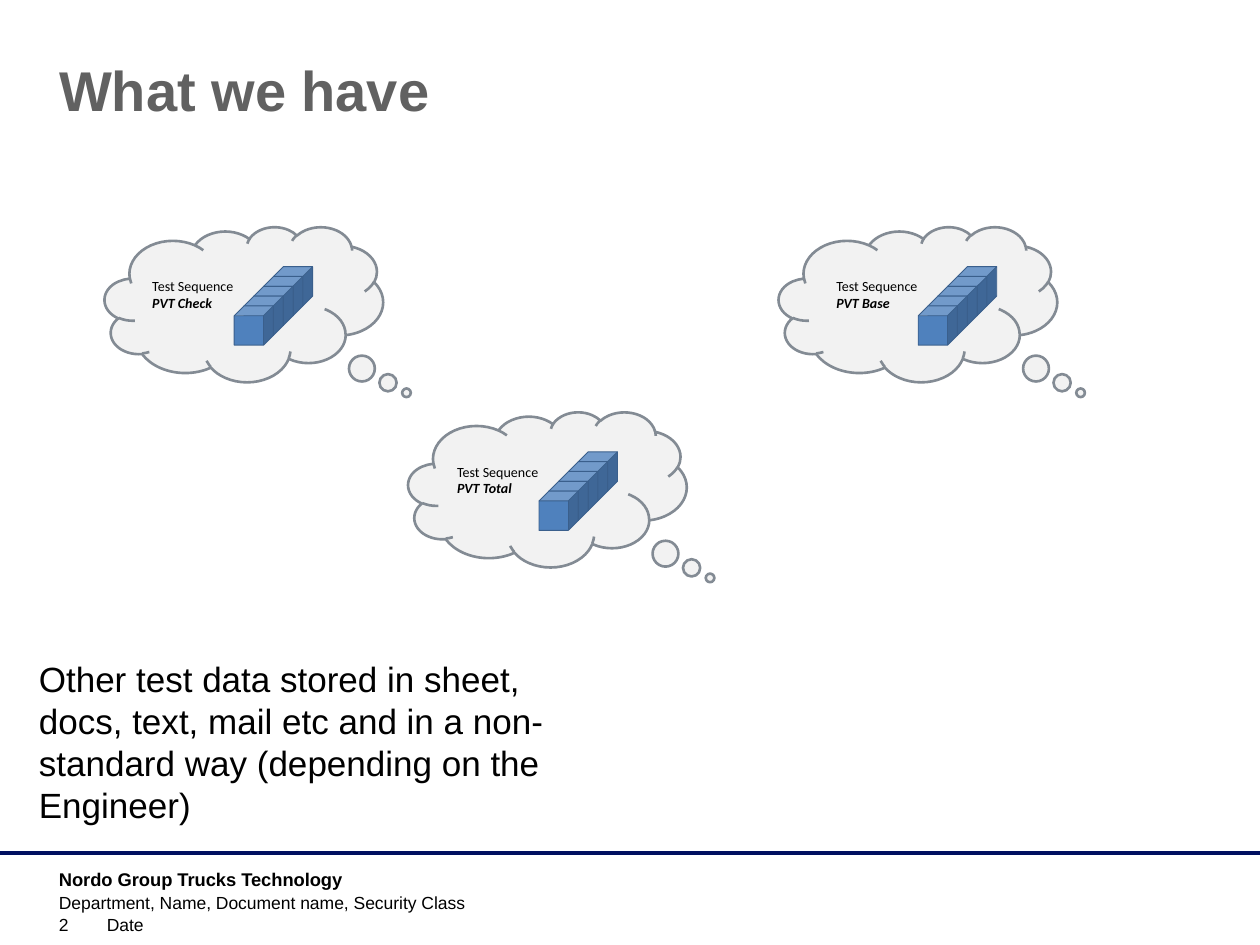
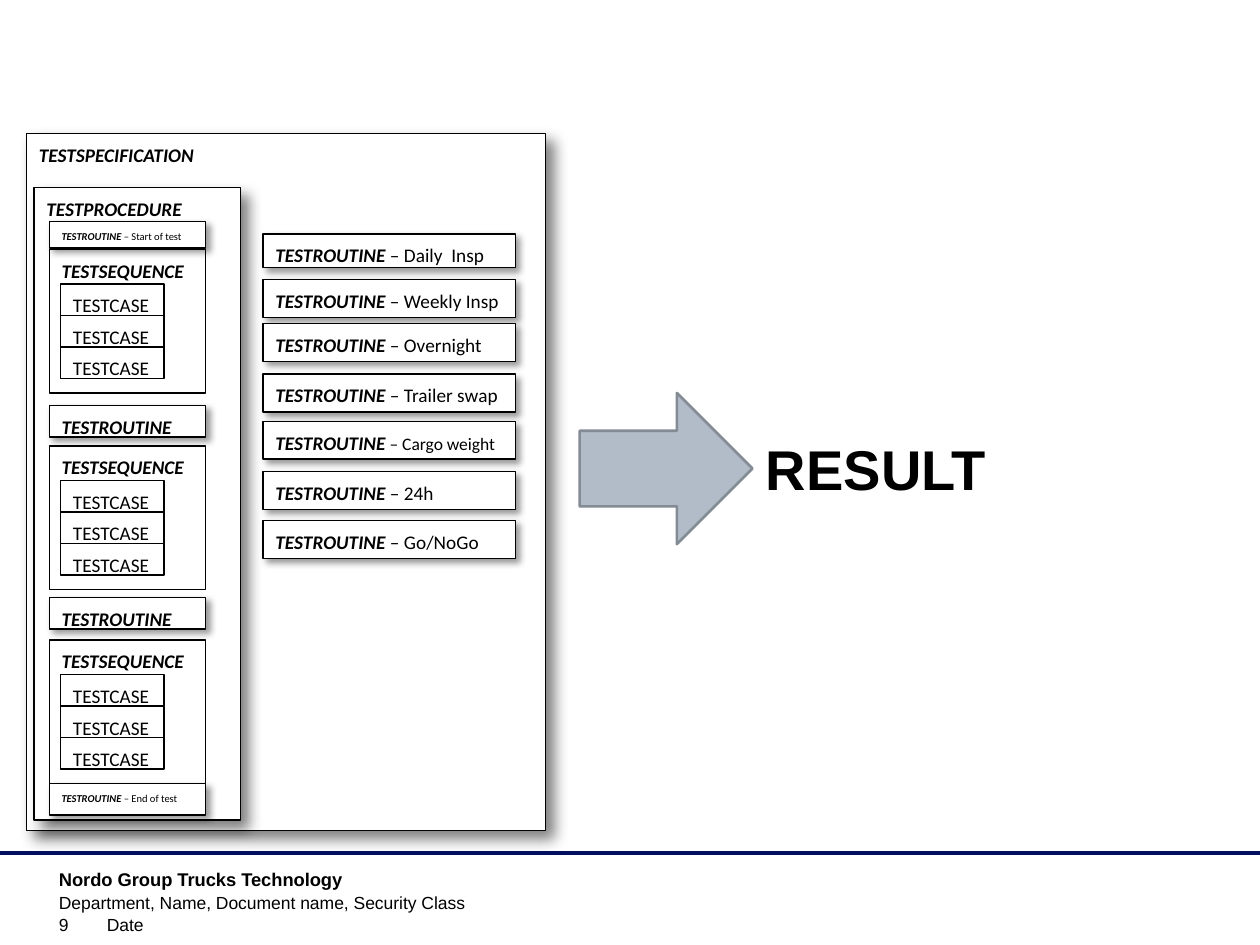
from lxml.etree import SubElement
from pptx import Presentation
from pptx.dml.color import RGBColor
from pptx.enum.shapes import MSO_CONNECTOR, MSO_SHAPE
from pptx.enum.text import MSO_ANCHOR, MSO_AUTO_SIZE, PP_ALIGN
from pptx.oxml.ns import qn
from pptx.util import Pt

ink = RGBColor.from_string
BLACK, WHITE, NAVY, GREY = "000000", "FFFFFF", "000F60", "616161"
EDGE, CLOUD, STEEL = "838B94", "F2F2F2", "B1BCC8"
CUBE, RIM = "4F81BD", "3A5F8C"
DEEP, SOFT = (50, 8, 6), (40, 4, 3)  # shadow opacity, blur, distance


def put(home, kind, box, fill, line, width, shade=None):
    """Add a filled preset shape; shade gives it a drop shadow."""
    shape = home.shapes.add_shape(kind, *map(Pt, box))
    shape.shadow.inherit = False
    shape.fill.solid()
    shape.fill.fore_color.rgb = ink(fill)
    shape.line.color.rgb = ink(line)
    shape.line.width = Pt(width)
    if shade:
        alpha, blur, dist = shade
        list_el = shape._element.spPr.find(qn("a:effectLst"))
        drop = SubElement(list_el, qn("a:outerShdw"), blurRad=str(Pt(blur)),
                          dist=str(Pt(dist)), dir="2700000", algn="tl", rotWithShape="0")
        tint = SubElement(drop, qn("a:srgbClr"), val=BLACK)
        SubElement(tint, qn("a:alpha"), val=str(alpha * 1000))
    return shape


def write(shape, text, size, face="Arial", bold=False, color=BLACK, anchor=MSO_ANCHOR.TOP):
    """Set left-aligned text in one style and return its frame."""
    frame = shape.text_frame
    frame.text = text
    frame.word_wrap = True
    frame.auto_size = MSO_AUTO_SIZE.NONE
    frame.vertical_anchor = anchor
    for para in frame.paragraphs:
        para.alignment = PP_ALIGN.LEFT
        for run in para.runs:
            run.font.size = Pt(size)
            run.font.name = face
            run.font.bold = bold
            run.font.color.rgb = ink(color)
    return frame


deck = Presentation()
deck.slide_width, deck.slide_height = Pt(720), Pt(540)
have = deck.slides.add_slide(deck.slide_layouts[5])
plan = deck.slides.add_slide(deck.slide_layouts[6])

# Shared footer
for slide, number in ((have, "2"), (plan, "9")):
    rule = slide.shapes.add_connector(MSO_CONNECTOR.STRAIGHT, 0, Pt(487.4), Pt(720), Pt(487.4))
    rule.line.color.rgb = ink(NAVY)
    rule.line.width = Pt(2)
    SubElement(rule._element.spPr, qn("a:effectLst"))
    for text, box, size, bold, anchor in (
        ("Nordo Group Trucks Technology", (26.6, 492.5, 240, 17.3), 10.5, True, MSO_ANCHOR.TOP),
        ("Department, Name, Document name, Security Class", (26.6, 506.2, 541.4, 17.3),
         10, False, MSO_ANCHOR.TOP),
        (number, (26.6, 521.3, 39.6, 16.6), 10, False, MSO_ANCHOR.BOTTOM),
        ("Date", (54, 521.3, 189.4, 16.6), 10, False, MSO_ANCHOR.BOTTOM),
    ):
        area = slide.shapes.add_textbox(*map(Pt, box))
        write(area, text, size, bold=bold, anchor=anchor)

# Slide 1: test sequences in clouds
title = have.shapes.title
title.left, title.top, title.width, title.height = map(Pt, (26.6, 28.1, 648, 90))
write(title, "What we have", 32, bold=True, color=GREY)

STEP = 5.62
for name, left, top, shift in (
    ("PVT Check", 59.8, 129.6, 96.5),
    ("PVT Total", 233.3, 235.4, 97.2),
    ("PVT Base", 445, 129.6, 102.2),
):
    cloud = put(have, MSO_SHAPE.CLOUD_CALLOUT, (left, top, 159.1, 88.6), CLOUD, EDGE, 1.5)
    cloud.adjustments[0], cloud.adjustments[1] = 0.584, 0.571
    group = have.shapes.add_group_shape()
    x, y = left + shift, top + 22.8
    for i in range(5):
        put(group, MSO_SHAPE.CUBE, (x - i * STEP, y + i * STEP, 22.4, 22.4), CUBE, RIM, 0.5)
    label = group.shapes.add_textbox(*map(Pt, (x - 76.4, y + 2.9, 76.3, 26.6)))
    frame = write(label, f"Test Sequence\n{name}", 8, "Calibri")
    font = frame.paragraphs[1].runs[0].font
    font.bold = font.italic = True

note = have.shapes.add_textbox(*map(Pt, (15.1, 372.2, 324.7, 104.4)))
write(note, "Other test data stored in sheet, docs, text, mail etc and in a "
      "non-standard way (depending on the Engineer)", 20)

# Slide 2: test specification leading to a result
put(plan, MSO_SHAPE.RIGHT_ARROW, (331.2, 224.6, 98.8, 86.4), STEEL, EDGE, 1.5)
result = plan.shapes.add_textbox(*map(Pt, (430.6, 244.8, 241.2, 46.1)))
write(result, "RESULT", 32, bold=True)

# Each block: head, tail, size, tail size, place, shadow
blocks = [
    ("TESTSPECIFICATION", "", 11, 11, (15.1, 76.3, 296.8, 398.4), DEEP),
    ("TESTPROCEDURE", "", 11, 11, (19.4, 107.3, 118.1, 361.4), DEEP),
]
for top in (142.6, 254.9, 365.8):
    blocks.append(("TESTSEQUENCE", "", 11, 11, (28.1, top, 89.5, 82.1), None))
    for i in range(3):
        blocks.append(("", "TESTCASE", 11, 11, (34.6, top + 19.7 + i * 18, 59.2, 18), None))
for tail, size, top, height in (
    ("", 11, 231.8, 18),
    ("", 11, 341.4, 18),
    (" – Start of test", 6, 126.7, 15.1),
    (" – End of test", 6, 447.8, 18),
):
    blocks.append(("TESTROUTINE", tail, size, size, (28.1, top, 89.5, height), SOFT))
for tail, small, top, height in (
    ("Daily  Insp", 11, 133.7, 19.4),
    ("Weekly Insp", 11, 159.8, 21.7),
    ("Overnight", 11, 185, 21.7),
    ("Trailer swap", 11, 213.8, 21.7),
    ("Cargo weight", 10, 240.7, 21.7),
    ("24h", 11, 269.3, 21.7),
    ("Go/NoGo", 11, 297.6, 21.7),
):
    blocks.append(("TESTROUTINE", f" – {tail}", 11, small, (150.3, top, 144.2, height), SOFT))

for head, tail, size, small, box, shade in blocks:
    block = put(plan, MSO_SHAPE.RECTANGLE, box, WHITE, BLACK, 0.75, shade)
    para = write(block, head or tail, size, "Calibri", bool(head)).paragraphs[0]
    para.line_spacing = 1.15
    para.space_after = Pt(10)
    para.runs[0].font.italic = bool(head)
    if head and tail:
        run = para.add_run()
        run.text = tail
        run.font.size = Pt(small)
        run.font.name = "Calibri"
        run.font.color.rgb = ink(BLACK)

deck.save("out.pptx")
